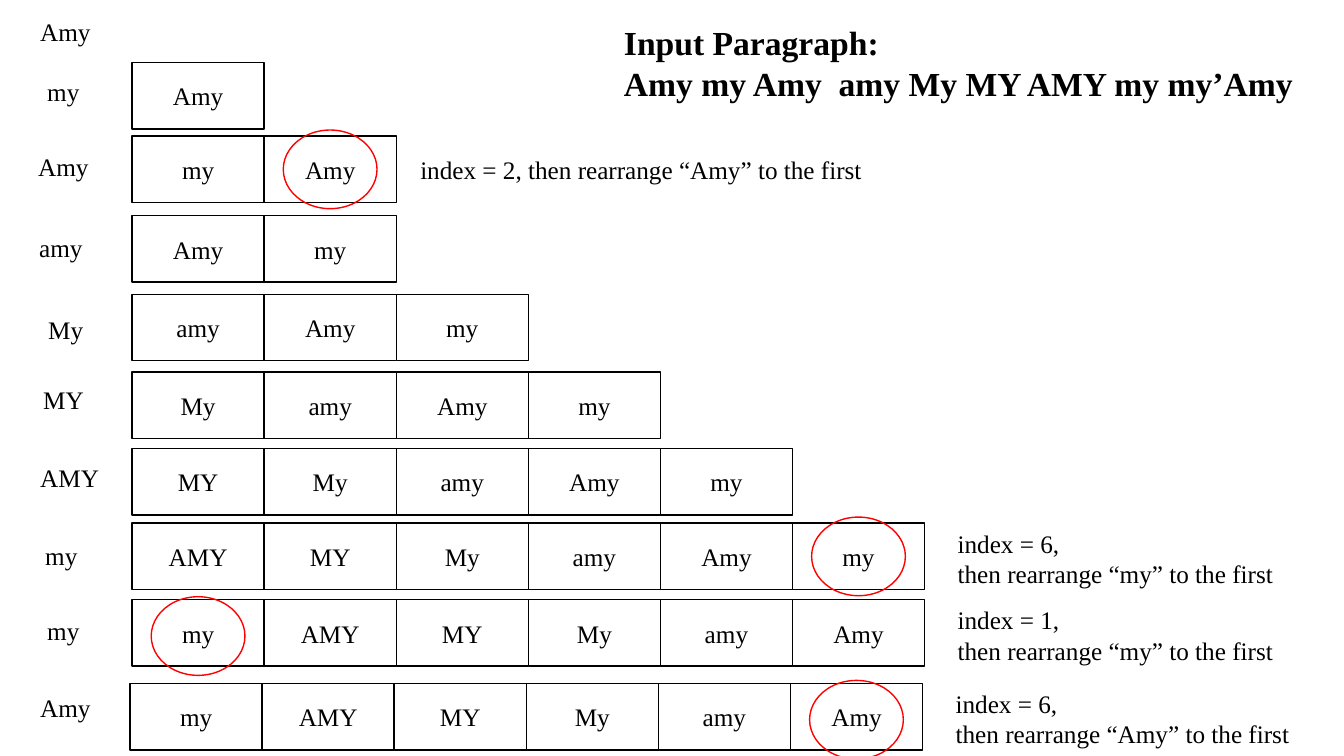
from pptx import Presentation
from pptx.dml.color import RGBColor
from pptx.enum.shapes import MSO_SHAPE
from pptx.enum.text import MSO_ANCHOR, MSO_AUTO_SIZE, PP_ALIGN
from pptx.util import Inches, Pt

RECT, OVAL = MSO_SHAPE.RECTANGLE, MSO_SHAPE.OVAL
LEFT, CENTER = PP_ALIGN.LEFT, PP_ALIGN.CENTER
TOP, MIDDLE = MSO_ANCHOR.TOP, MSO_ANCHOR.MIDDLE
GROW = MSO_AUTO_SIZE.SHAPE_TO_FIT_TEXT

# Content
TITLE = ["Input Paragraph:", "Amy my Amy  amy My MY AMY my my’Amy"]

# Words read in turn: word, left, top
READ = [
    ("Amy", 0.3, 0.11), ("my", 0.37, 0.71), ("Amy", 0.28, 1.45),
    ("amy", 0.29, 2.26), ("My", 0.38, 3.07), ("MY", 0.33, 3.76),
    ("AMY", 0.3, 4.54), ("my", 0.35, 5.31), ("my", 0.37, 6.06),
    ("Amy", 0.3, 6.82),
]
WIDTH = {"Amy": 0.71, "my": 0.52, "amy": 0.64, "My": 0.55, "MY": 0.61, "AMY": 0.79}

# State of the list after each word: left, top, words
ROWS = [
    (1.31, 0.62, "Amy"),
    (1.31, 1.35, "my Amy"),
    (1.31, 2.14, "Amy my"),
    (1.31, 2.92, "amy Amy my"),
    (1.31, 3.69, "My amy Amy my"),
    (1.31, 4.45, "MY My amy Amy my"),
    (1.31, 5.19, "AMY MY My amy Amy my"),
    (1.31, 5.95, "my AMY MY My amy Amy"),
    (1.29, 6.78, "my AMY MY My amy Amy"),
]

# Words found again: row, column, rise of ring, gap to note, drop of note, width, note
HITS = [
    (1, 1, 0.06, 0.14, 0.13, 4.64, ["index = 2, then rearrange “Amy” to the first"]),
    (6, 5, 0.06, 0.23, 0, 3.43, ["index = 6,", "then rearrange “my” to the first"]),
    (7, 0, 0.03, 0.23, 0, 3.43, ["index = 1,", "then rearrange “my” to the first"]),
    (8, 5, 0.03, 0.23, 0, 3.61, ["index = 6,", "then rearrange “Amy” to the first"]),
]

THEME = {
    "font": "Times New Roman", "text": 18, "title": 24, "line": 1,
    "ink": RGBColor(0, 0, 0), "paper": RGBColor(255, 255, 255),
    "ring": RGBColor(255, 0, 0),
}
CELL_W, CELL_H = 1.31, 0.66
RING_W, RING_H = 0.93, 0.78
LINE_H = {1: 0.4, 2: 0.71}

deck = Presentation()
deck.slide_width, deck.slide_height = Inches(13.33), Inches(7.5)
slide = deck.slides.add_slide(deck.slide_layouts[6])


def write(frame, lines, size=THEME["text"], bold=False, align=LEFT, anchor=TOP):
    frame.vertical_anchor = anchor
    for i, line in enumerate(lines):
        para = frame.add_paragraph() if i else frame.paragraphs[0]
        para.alignment = align
        run = para.add_run()
        run.text = line
        font = run.font
        font.name, font.size, font.bold = THEME["font"], Pt(size), bold
        font.color.rgb = THEME["ink"]


def label(lines, x, y, w, h, **style):
    frame = slide.shapes.add_textbox(*map(Inches, (x, y, w, h))).text_frame
    frame.word_wrap = False
    frame.auto_size = GROW
    write(frame, lines, **style)


def draw(kind, x, y, w, h, color, fill=None):
    shape = slide.shapes.add_shape(kind, *map(Inches, (x, y, w, h)))
    shape.shadow.inherit = False
    shape.line.color.rgb = color
    shape.line.width = Pt(THEME["line"])
    if fill is None:
        shape.fill.background()
    else:
        shape.fill.solid()
        shape.fill.fore_color.rgb = fill
    return shape


# Title and words read
label(TITLE, 6.09, 0.17, 6.9, 0.91, size=THEME["title"], bold=True)
for word, x, y in READ:
    label([word], x, y, WIDTH[word], LINE_H[1])

# List cells
for x, y, words in ROWS:
    for col, word in enumerate(words.split()):
        cell = draw(RECT, x + col * CELL_W, y, CELL_W, CELL_H,
                    THEME["ink"], THEME["paper"])
        write(cell.text_frame, [word], align=CENTER, anchor=MIDDLE)

# Rings and notes
for row, col, rise, gap, drop, wide, note in HITS:
    x, y, words = ROWS[row]
    mid = x + (col + 0.5) * CELL_W
    draw(OVAL, mid - RING_W / 2, y - rise, RING_W, RING_H, THEME["ring"])
    end = x + len(words.split()) * CELL_W
    label(note, end + gap, y + drop, wide, LINE_H[len(note)])

deck.save("out.pptx")
